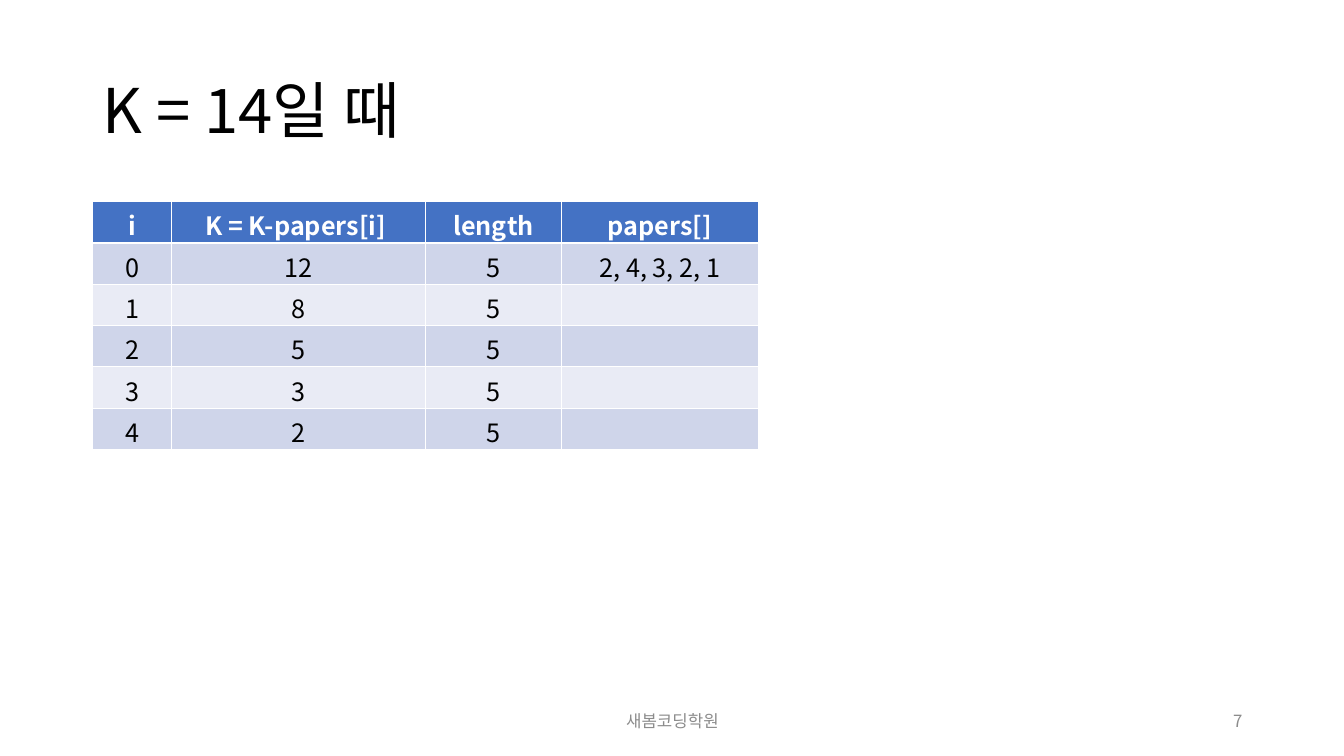
from lxml.etree import SubElement
from pptx import Presentation
from pptx.dml.color import RGBColor
from pptx.enum.text import MSO_ANCHOR as Anchor, PP_ALIGN as Align
from pptx.oxml.ns import qn
from pptx.util import Inches, Pt

FONT = "Noto Sans CJK KR"
BLACK = RGBColor(0x00, 0x00, 0x00)
WHITE = RGBColor(0xFF, 0xFF, 0xFF)
GRAY = RGBColor(0x8C, 0x8C, 0x8C)
BLUE = RGBColor(0x44, 0x72, 0xC4)
DARK_BAND = RGBColor(0xCF, 0xD5, 0xEA)
LIGHT_BAND = RGBColor(0xE9, 0xEB, 0xF5)

MARGIN = 0.92
ROW_HEIGHT = 0.41
COLUMN_WIDTHS = [0.78, 2.52, 1.35, 1.95]
HEADER = ["i", "K = K-papers[i] ", "length", "papers[]"]
REMAINDERS = [12, 8, 5, 3, 2]
PAPERS = "2, 4, 3, 2, 1"


def style_paragraph(paragraph, size, color, align, bold=False):
    paragraph.alignment = align
    font = paragraph.font
    font.name = FONT
    font.size = Pt(size)
    font.bold = bold
    font.color.rgb = color
    properties = paragraph._p.pPr.find(qn("a:defRPr"))
    SubElement(properties, qn("a:ea")).set("typeface", FONT)


presentation = Presentation()
presentation.slide_width = Inches(13.33)
presentation.slide_height = Inches(7.5)
slide = presentation.slides.add_slide(presentation.slide_layouts[6])

texts = [
    ("K = 14일 때", (MARGIN, 0.4, 11.5, 1.45), 44, BLACK, Align.LEFT),
    ("새봄코딩학원", (4.42, 6.95, 4.5, 0.4), 12, GRAY, Align.CENTER),
    ("7", (9.42, 6.95, 3, 0.4), 12, GRAY, Align.RIGHT),
]
for text, place, size, color, align in texts:
    text_box = slide.shapes.add_textbox(*map(Inches, place))
    frame = text_box.text_frame
    frame.word_wrap = True
    frame.vertical_anchor = Anchor.MIDDLE
    paragraph = frame.paragraphs[0]
    paragraph.text = text
    if size == 44:
        paragraph.line_spacing = 0.9
    style_paragraph(paragraph, size, color, align)

rows = [HEADER]
for index, remainder in enumerate(REMAINDERS):
    rows.append([str(index), str(remainder), "5", "" if index else PAPERS])

table = slide.shapes.add_table(
    len(rows), len(HEADER), Inches(MARGIN), Inches(2),
    Inches(sum(COLUMN_WIDTHS)), Inches(ROW_HEIGHT * len(rows)),
).table
for column, width in zip(table.columns, COLUMN_WIDTHS):
    column.width = Inches(width)

for row_index, row in enumerate(rows):
    table.rows[row_index].height = Inches(ROW_HEIGHT)
    is_header = row_index == 0
    band = BLUE if is_header else DARK_BAND if row_index % 2 else LIGHT_BAND
    for column_index, text in enumerate(row):
        cell = table.cell(row_index, column_index)
        cell.fill.solid()
        cell.fill.fore_color.rgb = band
        paragraph = cell.text_frame.paragraphs[0]
        if text:
            paragraph.text = text
        style_paragraph(paragraph, 18, WHITE if is_header else BLACK, Align.CENTER, is_header)

presentation.save("out.pptx")
